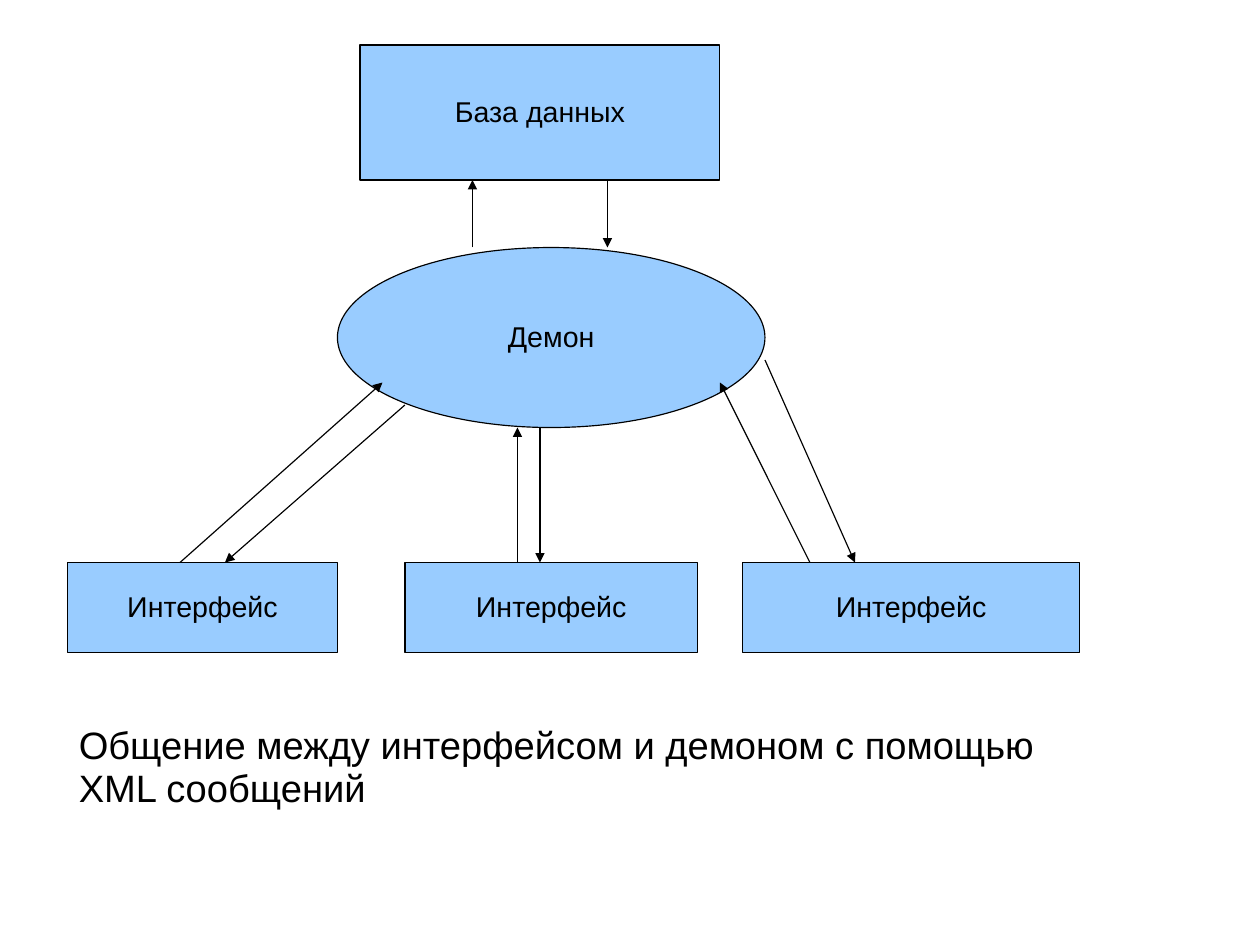
from dataclasses import dataclass

from lxml.etree import SubElement
from pptx import Presentation
from pptx.dml.color import RGBColor
from pptx.enum.shapes import MSO_CONNECTOR as Connector, MSO_SHAPE as Shape
from pptx.enum.text import MSO_ANCHOR as Anchor, PP_ALIGN as Align
from pptx.oxml.ns import qn
from pptx.util import Pt


@dataclass(frozen=True)
class Theme:
    fill: RGBColor = RGBColor(0x99, 0xCC, 0xFF)
    ink: RGBColor = RGBColor(0, 0, 0)
    font: str = "Arial"
    label_size: float = 18
    caption_size: float = 24
    line_width: float = 0.75
    line_spacing: float = 0.93


THEME = Theme()
GRID = 14.17  # drawing grid step in points

# Boxes on the page, in grid steps: left, top, width, height
DIAGRAM_BOX = (3, 2, 45, 27)
CAPTION_BOX = (3, 32, 46, 4.25)

# Parts of the diagram, in grid steps from its top left corner
NODES = [
    ("База данных", Shape.RECTANGLE, (13, 0, 16, 6)),
    ("Демон", Shape.OVAL, (12, 9, 19, 8)),
    ("Интерфейс", Shape.RECTANGLE, (0, 23, 12, 4)),
    ("Интерфейс", Shape.RECTANGLE, (15, 23, 13, 4)),
    ("Интерфейс", Shape.RECTANGLE, (30, 23, 15, 4)),
]
ARROWS = [
    ((18, 9), (18, 6)), ((24, 6), (24, 9)),        # daemon and database
    ((5, 23), (14, 15)), ((15, 16), (7, 23)),      # left interface
    ((20, 23), (20, 17)), ((21, 17), (21, 23)),    # middle interface
    ((33, 23), (29, 15)), ((31, 14), (35, 23)),    # right interface
]


def steps(*values):
    return [Pt(round(value * GRID, 2)) for value in values]


def write(frame, text, size, align, anchor):
    frame.word_wrap = True
    frame.vertical_anchor = anchor
    para = frame.paragraphs[0]
    para.text = text
    para.alignment = align
    para.line_spacing = THEME.line_spacing
    para.font.name = THEME.font
    para.font.size = Pt(size)
    para.font.color.rgb = THEME.ink


def outline(line):
    line.color.rgb = THEME.ink
    line.width = Pt(THEME.line_width)


def add_node(page, text, kind, box):
    node = page.shapes.add_shape(kind, *steps(*box))
    node.shadow.inherit = False
    node.fill.solid()
    node.fill.fore_color.rgb = THEME.fill
    outline(node.line)
    write(node.text_frame, text, THEME.label_size, Align.CENTER, Anchor.MIDDLE)


def add_arrow(page, start, end):
    arrow = page.shapes.add_connector(Connector.STRAIGHT, *steps(*start, *end))
    outline(arrow.line)
    SubElement(arrow.line._get_or_add_ln(), qn("a:tailEnd"), type="triangle")
    SubElement(arrow._element.spPr, qn("a:effectLst"))


def add_diagram(page, box):
    left, top = box[:2]
    for text, kind, (x, y, width, height) in NODES:
        add_node(page, text, kind, (left + x, top + y, width, height))
    for ends in ARROWS:
        start, end = [(left + x, top + y) for x, y in ends]
        add_arrow(page, start, end)


def add_caption(page, box):
    caption = page.shapes.add_textbox(*steps(*box))
    write(caption.text_frame,
          "Общение между интерфейсом и демоном с помощью XML сообщений",
          THEME.caption_size, Align.LEFT, Anchor.TOP)


def main():
    deck = Presentation()
    deck.slide_width, deck.slide_height = steps(56, 42)
    page = deck.slides.add_slide(deck.slide_layouts[6])
    add_diagram(page, DIAGRAM_BOX)
    add_caption(page, CAPTION_BOX)
    deck.save("out.pptx")


if __name__ == "__main__":
    main()
